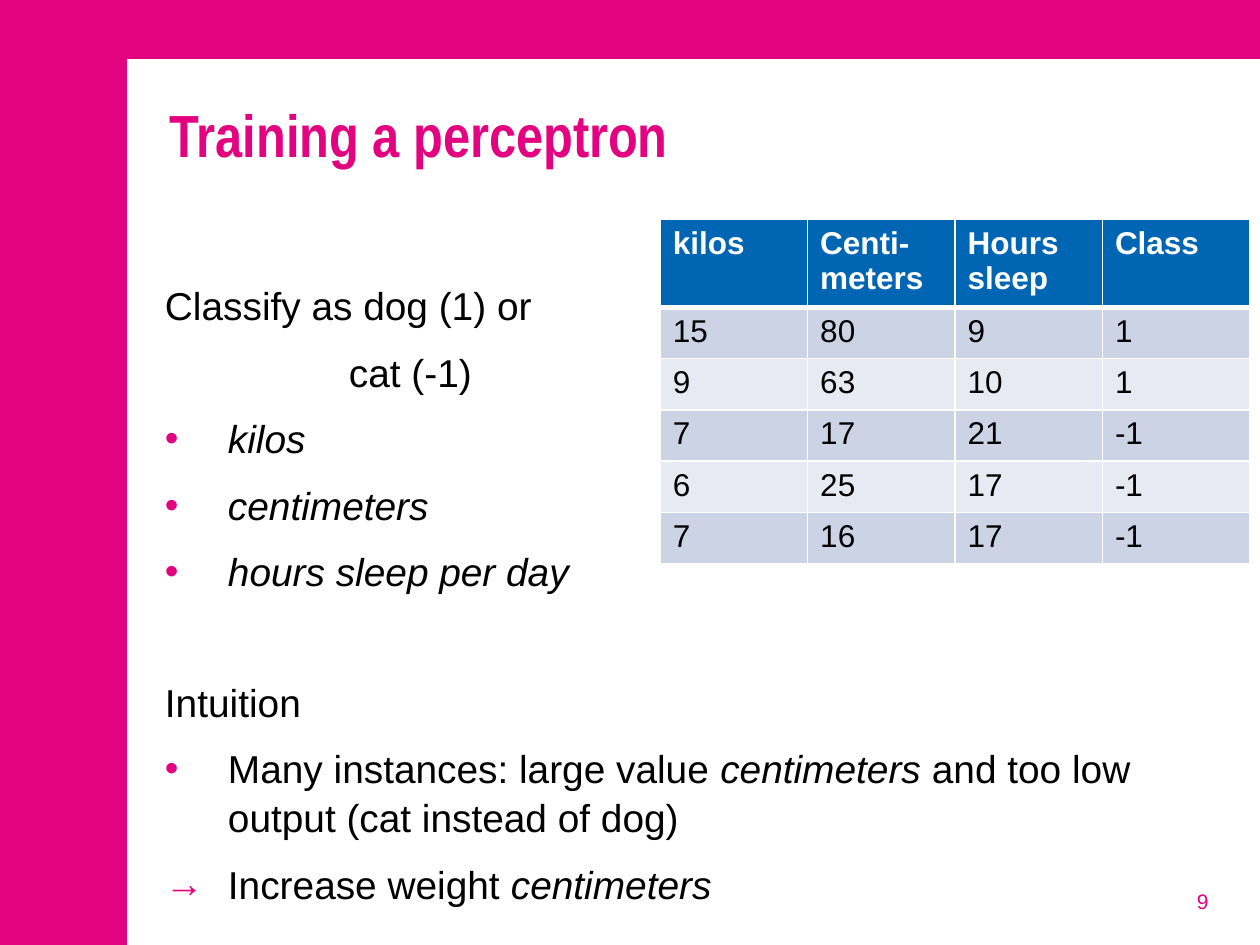
import dataclasses

import pptx
import pptx.dml.color
import pptx.enum.shapes
import pptx.enum.text
import pptx.oxml
import pptx.oxml.ns
import pptx.util

Pt = pptx.util.Pt
Align = pptx.enum.text.PP_ALIGN
Anchor = pptx.enum.text.MSO_ANCHOR


@dataclasses.dataclass(frozen=True)
class Theme:
    pink: str = "E3027F"
    white: str = "FFFFFF"
    black: str = "000000"
    blue: str = "0066B3"
    bands: tuple = ("CCD3E5", "E7EAF2")
    font: str = "Arial"
    narrow: str = "Arial Narrow"
    title: float = 34
    body: float = 22.2
    cell: float = 18
    small: float = 12


def color(code):
    return pptx.dml.color.RGBColor.from_string(code)


def node(xml):
    return pptx.oxml.parse_xml(xml.replace(">", " " + pptx.oxml.ns.nsdecls("a") + ">", 1))


class Deck:
    cols, rows = 100, 75

    def __init__(self, theme):
        self.theme = theme
        self.file = pptx.Presentation()
        self.file.slide_width = pptx.util.Inches(10)
        self.file.slide_height = pptx.util.Inches(7.5)
        self.slide = self.file.slides.add_slide(self.file.slide_layouts[6])
        fill = self.slide.background.fill
        fill.solid()
        fill.fore_color.rgb = color(theme.pink)

    def wide(self, n):
        return round(self.file.slide_width * n / self.cols)

    def high(self, n):
        return round(self.file.slide_height * n / self.rows)

    def place(self, col, row, width, height):
        return self.wide(col), self.high(row), self.wide(width), self.high(height)

    def panel(self, *area):
        kind = pptx.enum.shapes.MSO_SHAPE.RECTANGLE
        shape = self.slide.shapes.add_shape(kind, *self.place(*area))
        shape.shadow.inherit = False
        shape.fill.solid()
        shape.fill.fore_color.rgb = color(self.theme.white)
        shape.line.fill.background()

    def box(self, *area, side=1, top=0.5, anchor=Anchor.TOP):
        frame = self.slide.shapes.add_textbox(*self.place(*area)).text_frame
        frame.word_wrap = True
        frame.vertical_anchor = anchor
        frame.margin_left = frame.margin_right = self.wide(side)
        frame.margin_top = frame.margin_bottom = self.high(top)
        return frame

    def run(self, para, text, size, code, bold=False, italic=False, font=None):
        run = para.add_run()
        run.text = text
        run.font.name = font or self.theme.font
        run.font.size = Pt(size)
        run.font.bold = bold
        run.font.italic = italic
        run.font.color.rgb = color(code)

    def item(self, para, parts, mark=None, left=0, before=4):
        para.line_spacing = 1.05
        para.space_before = Pt(before)
        para.space_after = Pt(6)
        props = para._p.get_or_add_pPr()
        props.set("marL", str(self.wide(left)))
        props.set("indent", str(-self.wide(left) if mark else 0))
        if mark:
            props.append(node(f'<a:buClr><a:srgbClr val="{self.theme.pink}"/></a:buClr>'))
            props.append(node(f'<a:buFont typeface="{self.theme.font}"></a:buFont>'))
            props.append(node(f'<a:buChar char="{mark}"></a:buChar>'))
        for text, italic in parts:
            self.run(para, text, self.theme.body, self.theme.black, italic=italic)

    def list(self, frame, items):
        for i, (parts, style) in enumerate(items):
            para = frame.add_paragraph() if i else frame.paragraphs[0]
            self.item(para, parts, **style)

    def cell(self, cell, text, back, code, head):
        props = cell._tc.get_or_add_tcPr()
        for side in "LRTB":
            width = Pt(3 if head and side == "B" else 1)
            props.append(node(
                f'<a:ln{side} w="{width}"><a:solidFill><a:srgbClr val="{self.theme.white}"/>'
                f'</a:solidFill></a:ln{side}>'))
        cell.fill.solid()
        cell.fill.fore_color.rgb = color(back)
        self.run(cell.text_frame.paragraphs[0], text, self.theme.cell, code, bold=head)

    def table(self, data, col, row, width, top, step):
        count = len(data[0])
        area = self.place(col, row, width, top + step * (len(data) - 1))
        grid = self.slide.shapes.add_table(len(data), count, *area).table
        for column in grid.columns:
            column.width = self.wide(width / count)
        for r, line in enumerate(data):
            head = r == 0
            grid.rows[r].height = self.high(top if head else step)
            back = self.theme.blue if head else self.theme.bands[(r - 1) % 2]
            code = self.theme.white if head else self.theme.black
            for c, text in enumerate(line):
                self.cell(grid.cell(r, c), text, back, code, head)


def main():
    theme = Theme()
    deck = Deck(theme)
    deck.panel(10.1, 4.7, 89.9, 70.3)

    title = deck.box(12.5, 7, 84.4, 13.4, top=0.8).paragraphs[0]
    deck.run(title, "Training a perceptron", theme.title, theme.pink,
             bold=True, font=theme.narrow)

    dot = {"mark": "•", "left": 5}
    arrow = {"mark": "→", "left": 5}
    deck.list(deck.box(12.3, 22.2, 81.4, 44.9, side=0.8, top=0), [
        ([("Classify as dog (1) or", False)], {}),
        ([("cat (-1)", False)], {"left": 14.6}),
        ([("kilos", True)], dot),
        ([("centimeters", True)], dot),
        ([("hours sleep per day", True)], dot),
        ([("Intuition", False)], {"before": 40.7}),
        ([("Many instances: large value ", False), ("centimeters ", True),
          ("and too low output (cat instead of dog)", False)], dot),
        ([("Increase weight ", False), ("centimeters", True)], arrow),
    ])

    page = deck.box(73.6, 69.5, 23.3, 4, anchor=Anchor.MIDDLE).paragraphs[0]
    page.alignment = Align.RIGHT
    deck.run(page, "9", theme.small, theme.pink)

    deck.table([
        ("kilos", "Centi-meters", "Hours sleep", "Class"),
        ("15", "80", "9", "1"),
        ("9", "63", "10", "1"),
        ("7", "17", "21", "-1"),
        ("6", "25", "17", "-1"),
        ("7", "16", "17", "-1"),
    ], 52.4, 17.4, 46.8, 6.5, 4.07)
    deck.file.save("out.pptx")


if __name__ == "__main__":
    main()
